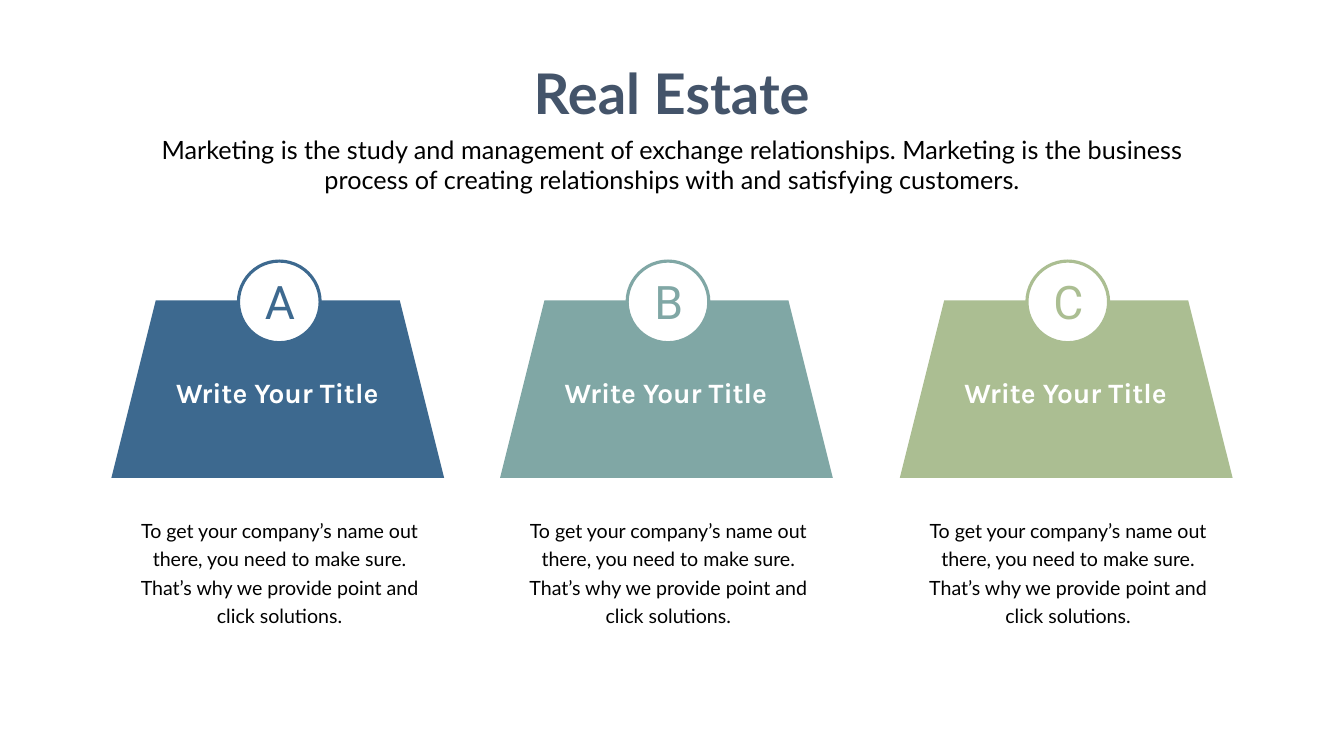
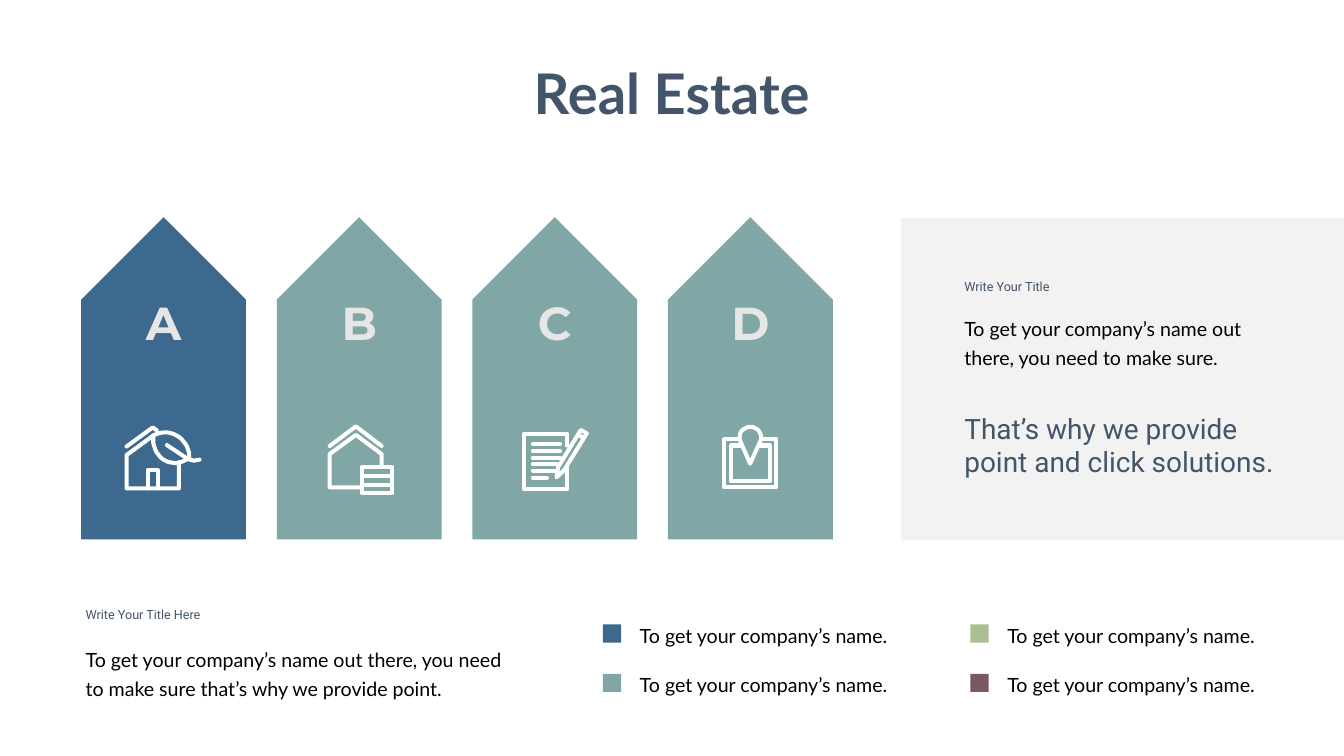
from lxml import etree
from pptx import Presentation, util as u
from pptx.dml.color import RGBColor
from pptx.enum import shapes, text
from pptx.oxml import ns

SCALE = 9144
WIDE, HIGH = 2666, 1500
KIND = shapes.MSO_SHAPE
MID = text.PP_ALIGN.CENTER


class Theme:
    blue, teal, green, plum = "3D698F", "80A7A5", "ABBE92", "775864"
    navy, black, white, pale, gray = "44546A", "000000", "FFFFFF", "E7E6E6", "808080"
    title = dict(name="Lato", size=80, bold=True, color=navy)
    lead = dict(name="Lato", size=36, color=black)
    body = dict(name="Lato", size=28, color=black)
    badge = dict(name="Roboto", size=66)
    head = dict(name="Karla", size=40, bold=True, color=white)
    letter = dict(name="Montserrat", size=66, bold=True, color=pale)
    label = dict(name="Roboto", size=18, color=navy)
    quote = dict(name="Roboto", size=40, color=navy)
    leading = 40.8


def px(*nums):
    return [round(n * SCALE) for n in nums]


def rgb(code):
    return RGBColor.from_string(code)


def write(slide, box, words, style, align=None, leading=None, wrap=True, inset=(10, 5)):
    frame = slide.shapes.add_textbox(*px(*box)).text_frame
    side, edge = px(*inset)
    form = dict(word_wrap=wrap, margin_left=side, margin_right=side,
                margin_top=edge, margin_bottom=edge)
    for key, value in form.items():
        setattr(frame, key, value)
    para = frame.paragraphs[0]
    para.alignment = align
    if leading:
        para.line_spacing = u.Pt(leading)
    run = para.add_run()
    run.text = words
    for key, value in style.items():
        if key == "color":
            run.font.color.rgb = rgb(value)
        else:
            setattr(run.font, key, u.Pt(value) if key == "size" else value)


def draw(slide, kind, box, fill, line=None, turn=0, alpha=None):
    shape = slide.shapes.add_shape(kind, *px(*box))
    shape.shadow.inherit = False
    shape.rotation = turn
    shape.fill.solid()
    shape.fill.fore_color.rgb = rgb(fill)
    if alpha:
        color = shape._element.spPr.find(".//" + ns.qn("a:srgbClr"))
        etree.SubElement(color, ns.qn("a:alpha"), val=str(alpha * 1000))
    if line:
        shape.line.color.rgb = rgb(line)
        shape.line.width = u.Pt(4.5)
    else:
        shape.line.fill.background()


def bend(a, b, c, d, steps=16):
    curve = []
    for i in range(steps + 1):
        t = i / steps
        parts = ((1 - t) ** 3, 3 * t * (1 - t) ** 2, 3 * t * t * (1 - t), t ** 3)
        curve.append(tuple(round(sum(k * p[n] for k, p in zip(parts, (a, b, c, d))), 2)
                           for n in (0, 1)))
    return curve


def ring(x, y, w, h):
    return [(x, y), (x + w, y), (x + w, y + h), (x, y + h), (x, y)]


def rule(x, y, w):
    return [(x, y), (x + w, y)]


def trace(slide, left, top, strokes):
    pen = slide.shapes.build_freeform(*strokes[0][0], scale=SCALE)
    for i, stroke in enumerate(strokes):
        if i:
            pen.move_to(*stroke[0])
        pen.add_line_segments(stroke[1:], close=stroke[0] == stroke[-1])
    shape = pen.convert_to_shape(*px(left, top))
    shape.shadow.inherit = False
    shape.fill.background()
    shape.line.color.rgb = rgb(Theme.white)
    shape.line.width = u.Pt(5.76)
    edge = shape.line._get_or_add_ln()
    edge.set("cap", "rnd")
    etree.SubElement(edge, ns.qn("a:round"))


LEAF = [
    [(4, 43), (56, 5), (64, 11)],
    [(56, 22), (4, 60), (4, 126), (108, 126), (108, 74)],
    [(46, 126), (46, 90), (66, 90), (66, 126)],
    bend((57, 21), (95, 2), (132, 33), (128, 68)),
    bend((57, 21), (52, 62), (92, 92), (128, 66)),
    [(84, 40), (126, 68), (138, 71), (149, 69)],
]
STORE = [
    [(4, 43), (56, 4), (107, 43)],
    [(64, 125), (4, 125), (4, 59), (56, 21), (107, 59), (107, 81)],
    ring(68, 85, 59, 52),
    rule(68, 102, 59),
    rule(68, 120, 59),
]
NOTE = [
    [(90, 35), (90, 12), (4, 12), (4, 121), (90, 121), (90, 76)],
    [(117, 4), (129, 11), (84, 84), (69, 98), (72, 78), (117, 4)],
    [(113, 14), (122, 20)],
    *[rule(22, y, w) for y, w in ((32, 54), (46, 54), (59, 54), (72, 48), (85, 43), (99, 28))],
]
PLACE = [
    [(31, 29), (4, 29), (4, 124), (107, 124), (107, 29), (80, 29)],
    [(36, 41), (18, 41), (18, 112), (94, 112), (94, 41), (76, 41)],
    [(55, 77), *bend((35, 31), (27, -5), (84, -5), (76, 31)), (55, 77)],
]


def title(slide):
    write(slide, (1041, 112, 583, 145), "Real Estate", Theme.title, MID, wrap=False)


def card(slide, left, top, letter, color):
    draw(slide, KIND.TRAPEZOID, (left, top + 78, 660, 352), color)
    draw(slide, KIND.OVAL, (left + 252, top, 162, 162), Theme.white, color)
    write(slide, (left + 253, top + 20, 163, 121), letter, Theme.badge | dict(color=color), MID)
    write(slide, (left + 102, top + 223, 454, 77), "Write Your Title", Theme.head, MID)
    write(slide, (left + 35, top + 496, 597, 234),
          "To get your company’s name out there, you need to make sure. "
          "That’s why we provide point and click solutions.",
          Theme.body, MID, Theme.leading)


def house(slide, left, top, letter, color, strokes, dx, dy):
    w, h = 327, 639
    draw(slide, KIND.PENTAGON, (left + (w - h) / 2, top + (h - w) / 2, h, w), color, turn=270)
    write(slide, (left, top + 148, w, 121), letter, Theme.letter, MID, wrap=False)
    trace(slide, left + dx, top + dy, strokes)


def panel(slide, left, top):
    draw(slide, KIND.RECTANGLE, (left, top, WIDE - left, 639), Theme.gray, alpha=10)
    x = left + 116
    write(slide, (x, top + 116, 572, 71), "Write Your Title", Theme.label)
    write(slide, (x, top + 181, 612, 119),
          "To get your company’s name out there, you need to make sure.",
          Theme.body, leading=Theme.leading)
    write(slide, (x, top + 378, 641, 145),
          "That’s why we provide point and click solutions.", Theme.quote)


def blurb(slide, left, top):
    write(slide, (left, top, 572, 71), "Write Your Title Here", Theme.label)
    write(slide, (left, top + 72, 867, 119),
          "To get your company’s name out there, you need to make sure "
          "that’s why we provide point.", Theme.body, leading=Theme.leading)


def legend(slide, left, top):
    for i, color in enumerate((Theme.blue, Theme.teal, Theme.green, Theme.plum)):
        col, row = divmod(i, 2)
        x, y = left + 729 * col, top + 98 * row
        draw(slide, KIND.RECTANGLE, (x, y, 36, 36), color)
        write(slide, (x + 49, y - 24, 565, 75), "To get your company’s name.",
              Theme.body, leading=Theme.leading, inset=(24, 12))


def cards(slide):
    title(slide)
    write(slide, (292, 261, 2082, 131),
          "Marketing is the study and management of exchange relationships. "
          "Marketing is the business process of creating relationships with "
          "and satisfying customers.", Theme.lead, MID)
    for left, letter, color in ((221, "A", Theme.blue), (992, "B", Theme.teal),
                                (1785, "C", Theme.green)):
        card(slide, left, 518, letter, color)


def houses(slide):
    title(slide)
    rows = (("A", Theme.blue, LEAF, 86, 412), ("B", Theme.teal, STORE, 101, 411),
            ("C", Theme.teal, NOTE, 98, 418), ("D", Theme.teal, PLACE, 108, 412))
    for i, row in enumerate(rows):
        house(slide, 161 + 388 * i, 431, *row)
    panel(slide, 1787, 433)
    blurb(slide, 160, 1199)
    legend(slide, 1196, 1239)


def main():
    deck = Presentation()
    deck.slide_width, deck.slide_height = px(WIDE, HIGH)
    for build in (cards, houses):
        build(deck.slides.add_slide(deck.slide_layouts[6]))
    deck.save("out.pptx")


if __name__ == "__main__":
    main()
